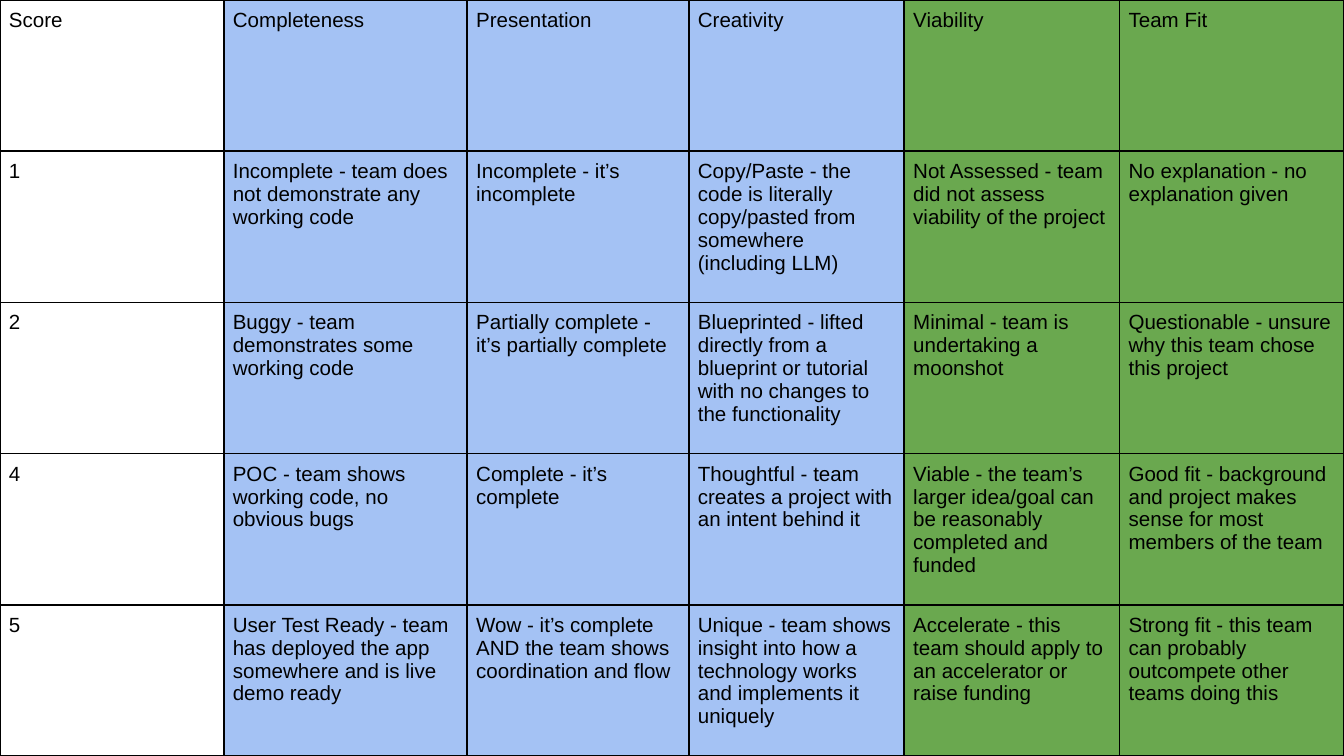
from lxml import etree
from pptx import Presentation
from pptx import util as u
from pptx.dml.color import RGBColor
from pptx.oxml import ns

BLACK = RGBColor(0x00, 0x00, 0x00)
BLUE = RGBColor(0xA4, 0xC2, 0xF4)
GREEN = RGBColor(0x6A, 0xA8, 0x4F)

# Content: column width in cm, fill, then the heading and the text per score
COLUMNS = [
    (4.23, None, ["Score", "1", "2", "4", "5"]),
    (4.6, BLUE, [
        "Completeness",
        "Incomplete - team does not demonstrate any working code",
        "Buggy - team demonstrates some working code",
        "POC - team shows working code, no obvious bugs",
        "User Test Ready - team has deployed the app somewhere and is live demo ready",
    ]),
    (4.19, BLUE, [
        "Presentation",
        "Incomplete - it’s incomplete",
        "Partially complete - it’s partially complete",
        "Complete - it’s complete",
        "Wow - it’s complete AND the team shows coordination and flow",
    ]),
    (4.07, BLUE, [
        "Creativity",
        "Copy/Paste - the code is literally copy/pasted from somewhere (including LLM)",
        "Blueprinted - lifted directly from a blueprint or tutorial with no changes "
        "to the functionality",
        "Thoughtful - team creates a project with an intent behind it",
        "Unique - team shows insight into how a technology works and implements it uniquely",
    ]),
    (4.07, GREEN, [
        "Viability",
        "Not Assessed - team did not assess viability of the project",
        "Minimal - team is undertaking a moonshot",
        "Viable - the team’s larger idea/goal can be reasonably completed and funded",
        "Accelerate - this team should apply to an accelerator or raise funding",
    ]),
    (4.24, GREEN, [
        "Team Fit",
        "No explanation - no explanation given",
        "Questionable - unsure why this team chose this project",
        "Good fit - background and project makes sense for most members of the team",
        "Strong fit - this team can probably outcompete other teams doing this",
    ]),
]
ROW_COUNT = len(COLUMNS[0][2])
INSET = u.Cm(0.17)


def add_borders(cell):
    """Draw a thin black line on all four sides; call before setting the fill."""
    properties = cell._tc.get_or_add_tcPr()
    for side in ("a:lnL", "a:lnR", "a:lnT", "a:lnB"):
        line = etree.SubElement(properties, ns.qn(side), w=str(u.Pt(1)))
        fill = etree.SubElement(line, ns.qn("a:solidFill"))
        etree.SubElement(fill, ns.qn("a:srgbClr"), val=str(BLACK))


def fill_cell(cell, words, colour):
    add_borders(cell)
    if colour is None:
        cell.fill.background()
    else:
        cell.fill.solid()
        cell.fill.fore_color.rgb = colour
    cell.margin_left = cell.margin_right = INSET
    cell.margin_top = cell.margin_bottom = INSET
    span = cell.text_frame.paragraphs[0].add_run()
    span.text = words
    span.font.name = "Arial"
    span.font.size = u.Pt(11)
    span.font.bold = False
    span.font.color.rgb = BLACK


# Slide
deck = Presentation()
deck.slide_width, deck.slide_height = u.Cm(25.4), u.Cm(14.29)
page = deck.slides.add_slide(deck.slide_layouts[6])

# Scoring table over the whole slide, with equal rows
rubric = page.shapes.add_table(
    ROW_COUNT, len(COLUMNS), u.Cm(0), u.Cm(0), deck.slide_width, deck.slide_height
).table
rubric.first_row = rubric.horz_banding = False
for row in rubric.rows:
    row.height = deck.slide_height // ROW_COUNT
for column_index, (width, colour, entries) in enumerate(COLUMNS):
    rubric.columns[column_index].width = u.Cm(width)
    for row_index, words in enumerate(entries):
        fill_cell(rubric.cell(row_index, column_index), words, colour)

deck.save("out.pptx")
